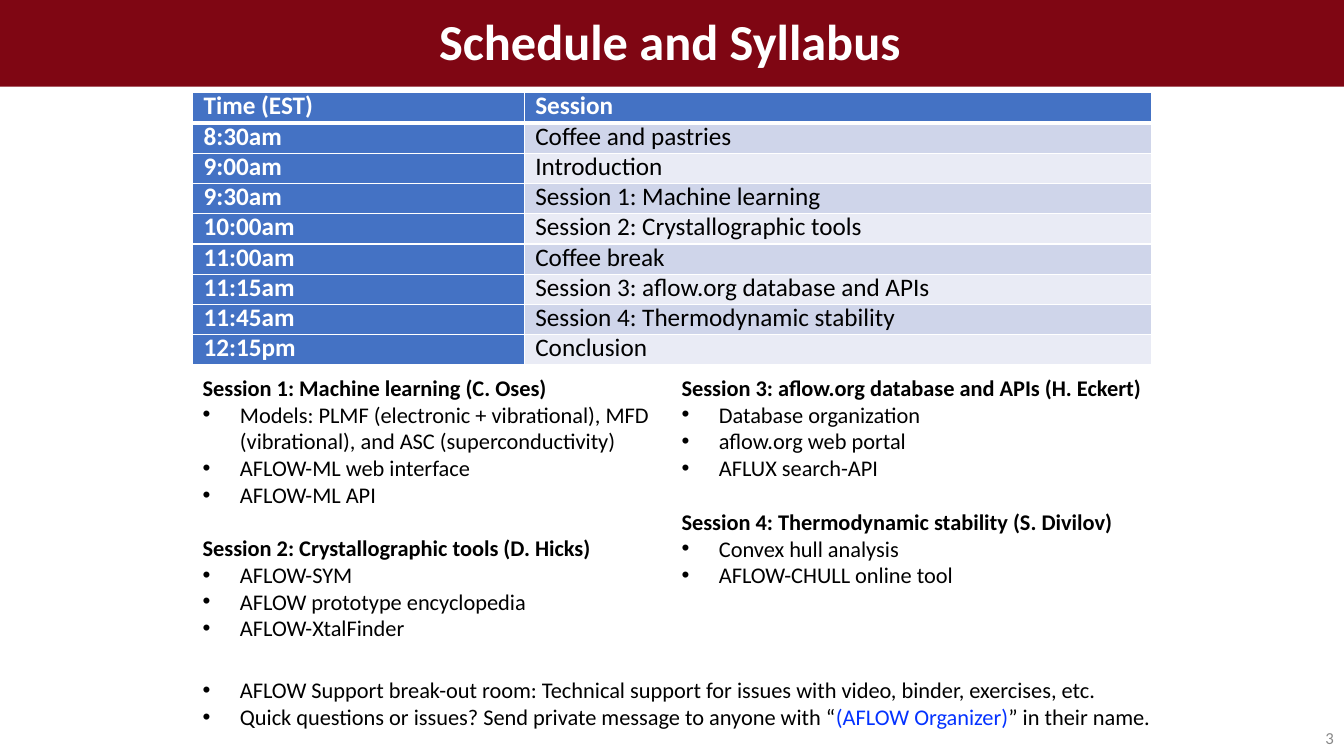
from dataclasses import dataclass

from lxml import etree
from pptx import Presentation
from pptx.dml.color import RGBColor
from pptx.enum import shapes, text
from pptx.oxml import ns
from pptx.util import Inches, Pt

FONT = "Calibri"
WHITE = RGBColor(0xFF, 0xFF, 0xFF)
BLACK = RGBColor(0, 0, 0)
MAROON = RGBColor(0x7F, 0x06, 0x13)
GRAY = RGBColor(0x89, 0x89, 0x89)
BLUE = RGBColor(0x44, 0x72, 0xC4)
LINK = RGBColor(0x04, 0x32, 0xFF)
BANDS = (RGBColor(0xCF, 0xD5, 0xEA), RGBColor(0xE9, 0xEB, 0xF5))


@dataclass
class Topic:
    left: float
    top: float
    head: str
    items: list[str]


PLAN = [
    ("Time (EST)", "Session"),
    ("8:30am", "Coffee and pastries"),
    ("9:00am", "Introduction"),
    ("9:30am", "Session 1: Machine learning"),
    ("10:00am", "Session 2: Crystallographic tools"),
    ("11:00am", "Coffee break"),
    ("11:15am", "Session 3: aflow.org database and APIs"),
    ("11:45am", "Session 4: Thermodynamic stability"),
    ("12:15pm", "Conclusion"),
]
TOPICS = [
    Topic(2, 3.7, "Session 1: Machine learning (C. Oses)", [
        "Models: PLMF (electronic + vibrational), MFD (vibrational), "
        "and ASC (superconductivity)",
        "AFLOW-ML web interface", "AFLOW-ML API"]),
    Topic(2, 5.29, "Session 2: Crystallographic tools (D. Hicks)", [
        "AFLOW-SYM", "AFLOW prototype encyclopedia", "AFLOW-XtalFinder"]),
    Topic(6.75, 3.7, "Session 3: aflow.org database and APIs (H. Eckert)", [
        "Database organization", "aflow.org web portal", "AFLUX search-API"]),
    Topic(6.75, 5.03, "Session 4: Thermodynamic stability (S. Divilov)", [
        "Convex hull analysis", "AFLOW-CHULL online tool"]),
]
# The part between bars is shown in the link colour
NOTES = [
    "AFLOW Support break-out room: Technical support for issues with "
    "video, binder, exercises, etc.",
    "Quick questions or issues? Send private message to anyone with "
    "“|(AFLOW Organizer)|” in their name.",
]


def place(box, left: float, top: float, width: float, height: float) -> None:
    """Move a text shape and clear its insets."""
    box.left, box.top = Inches(left), Inches(top)
    box.width, box.height = Inches(width), Inches(height)
    frame = box.text_frame
    frame.word_wrap = True
    frame.auto_size = text.MSO_AUTO_SIZE.NONE
    frame.vertical_anchor = text.MSO_ANCHOR.TOP
    frame.margin_left = frame.margin_right = frame.margin_bottom = 0
    frame.margin_top = Inches(0.01)


def style(para, size: float, color: RGBColor, bold: bool = False) -> None:
    for run in para.runs:
        font = run.font
        font.name, font.size, font.bold = FONT, Pt(size), bold
        font.color.rgb = color


def write(para, words: str, listed: bool) -> None:
    """Fill one line of a list, either a heading or a bulleted item."""
    first, *rest = words.split("|")
    para.text = first
    for part in rest:
        para.add_run().text = part
    props = para._p.get_or_add_pPr()
    props.set("marL", str(Inches(0.38 if listed else 0.01)))
    props.set("indent", str(Inches(-0.37 if listed else 0)))
    if listed:
        face = etree.SubElement(props, ns.qn("a:buFont"))
        face.set("typeface", "Arial")
        mark = etree.SubElement(props, ns.qn("a:buChar"))
        mark.set("char", "•")
    else:
        etree.SubElement(props, ns.qn("a:buNone"))
    para.alignment = text.PP_ALIGN.LEFT
    para.line_spacing = Pt(19.15)
    para.space_before = para.space_after = Pt(0)
    style(para, 16, BLACK, not listed)
    if rest:
        para.runs[1].font.color.rgb = LINK


def fill_list(frame, lines: list[tuple[str, bool]]) -> None:
    for i, (words, listed) in enumerate(lines):
        para = frame.add_paragraph() if i else frame.paragraphs[0]
        write(para, words, listed)


def edge(cell, side: str, width: float) -> None:
    line = etree.SubElement(cell._tc.get_or_add_tcPr(), ns.qn("a:ln" + side))
    line.set("w", str(Pt(width)))
    solid = etree.SubElement(line, ns.qn("a:solidFill"))
    etree.SubElement(solid, ns.qn("a:srgbClr")).set("val", str(WHITE))


def draw_plan(slide) -> None:
    grid = slide.shapes.add_table(len(PLAN), 2, Inches(1.91), Inches(0.92),
                                  Inches(9.51), Inches(2.7)).table
    grid.columns[0].width, grid.columns[1].width = Inches(3.29), Inches(6.22)
    for r, row in enumerate(PLAN):
        grid.rows[r].height = Inches(0.3)
        for c, words in enumerate(row):
            cell = grid.cell(r, c)
            key = r == 0 or c == 0
            cell.margin_left = Inches(0.11)
            cell.margin_right = cell.margin_top = cell.margin_bottom = 0
            for side in "LRTB":
                thick = (r, side) in ((0, "B"), (1, "T"))
                edge(cell, side, 3 if thick else 1)
            cell.fill.solid()
            cell.fill.fore_color.rgb = BLUE if key else BANDS[(r - 1) % 2]
            cell.text_frame.text = words
            para = cell.text_frame.paragraphs[0]
            para.line_spacing = Pt(20.6)
            style(para, 18, WHITE if key else BLACK, key)


def main() -> None:
    deck = Presentation()
    deck.slide_width, deck.slide_height = Inches(13.33), Inches(7.5)
    slide = deck.slides.add_slide(deck.slide_layouts.get_by_name("Comparison"))

    # Banner behind the title
    band = slide.shapes.add_shape(shapes.MSO_SHAPE.RECTANGLE, 0, 0,
                                  deck.slide_width, Inches(0.86))
    band.shadow.inherit = False
    band.fill.solid()
    band.fill.fore_color.rgb = MAROON
    band.line.fill.background()
    slide.shapes._spTree.insert(2, band._element)

    title = slide.shapes.title
    place(title, 0.3, 0.09, 12.69, 0.63)
    title.text_frame.text = "Schedule and Syllabus"
    head = title.text_frame.paragraphs[0]
    head.alignment = text.PP_ALIGN.CENTER
    style(head, 36, WHITE, True)

    # Timetable
    draw_plan(slide)

    # Session outlines
    bodies = [b for b in slide.placeholders if b.placeholder_format.idx]
    for body, topic in zip(bodies, TOPICS):
        lines = [(topic.head, False)] + [(item, True) for item in topic.items]
        place(body, topic.left, topic.top, 4.6, 0.27 * len(lines) + 0.02)
        fill_list(body.text_frame, lines)

    # Help notes
    notes = slide.shapes.add_textbox(0, 0, 0, 0)
    place(notes, 2, 6.7, 9.6, 0.56)
    fill_list(notes.text_frame, [(note, True) for note in NOTES])

    # Slide number
    number = slide.shapes.add_textbox(0, 0, 0, 0)
    place(number, 13.02, 7.21, 0.21, 0.23)
    number.text_frame.text = "3"
    digit = number.text_frame.paragraphs[0]
    digit.alignment = text.PP_ALIGN.RIGHT
    style(digit, 12, GRAY)

    deck.save("out.pptx")


if __name__ == "__main__":
    main()
